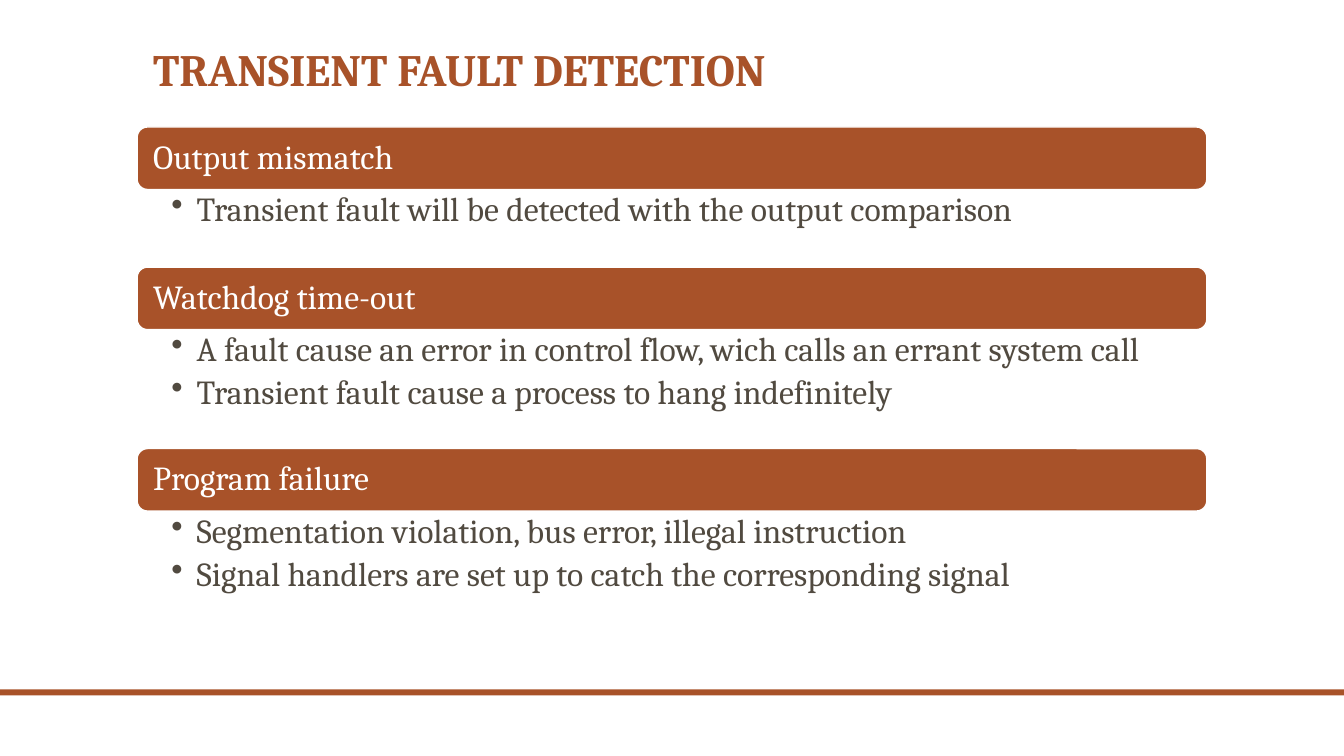
import dataclasses

import lxml.etree
import pptx
import pptx.dml.color
import pptx.enum.shapes
import pptx.enum.text
import pptx.oxml.ns
import pptx.util

Inches = pptx.util.Inches
Pt = pptx.util.Pt
RGBColor = pptx.dml.color.RGBColor
Shapes = pptx.enum.shapes.MSO_SHAPE
Anchor = pptx.enum.text.MSO_ANCHOR
Align = pptx.enum.text.PP_ALIGN


@dataclasses.dataclass(frozen=True)
class Theme:
    font: str = "Cambria"
    accent: RGBColor = RGBColor(0xA8, 0x52, 0x29)
    body: RGBColor = RGBColor(0x51, 0x4A, 0x40)
    light: RGBColor = RGBColor(0xFF, 0xFF, 0xFF)
    title_size: int = 32
    text_size: int = 24


class SlideBuilder:
    """Draws the elements of one slide in a shared theme."""

    def __init__(self, slide, theme):
        self.slide = slide
        self.theme = theme

    def set_text(self, shape, lines, size, color, anchor, insets, bold=False):
        frame = shape.text_frame
        frame.word_wrap = True
        frame.vertical_anchor = anchor
        frame.margin_left, frame.margin_top, frame.margin_right, frame.margin_bottom = map(Inches, insets)
        frame.text = "\n".join(lines)
        for paragraph in frame.paragraphs:
            paragraph.alignment = Align.LEFT
            paragraph.line_spacing = 0.9
            paragraph.font.name = self.theme.font
            paragraph.font.size = Pt(size)
            paragraph.font.bold = bold
            paragraph.font.color.rgb = color

    def add_title(self, text, left, top, width, height):
        box = self.slide.shapes.add_textbox(*map(Inches, (left, top, width, height)))
        self.set_text(box, [text], self.theme.title_size, self.theme.accent,
                      Anchor.BOTTOM, (0.1, 0.05, 0.1, 0.05), bold=True)

    def add_block(self, kind, left, top, width, height):
        shape = self.slide.shapes.add_shape(kind, *map(Inches, (left, top, width, height)))
        shape.shadow.inherit = False
        shape.fill.solid()
        shape.fill.fore_color.rgb = self.theme.accent
        shape.line.fill.background()
        return shape

    def add_heading(self, text, left, top, width, height):
        bar = self.add_block(Shapes.ROUNDED_RECTANGLE, left, top, width, height)
        bar.line.color.rgb = self.theme.light
        bar.line.width = Pt(1)
        self.set_text(bar, [text], self.theme.text_size, self.theme.light,
                      Anchor.MIDDLE, (0.13, 0.13, 0.13, 0.13))

    def add_bullets(self, lines, left, top, width, height):
        box = self.slide.shapes.add_textbox(*map(Inches, (left, top, width, height)))
        self.set_text(box, lines, self.theme.text_size, self.theme.body,
                      Anchor.TOP, (0.34, 0.03, 0.19, 0.03))
        for paragraph in box.text_frame.paragraphs:
            paragraph.space_after = Pt(5)
            properties = paragraph._p.get_or_add_pPr()
            properties.set("marL", str(Inches(0.25)))
            properties.set("indent", str(Inches(-0.25)))
            bullet = lxml.etree.Element(pptx.oxml.ns.qn("a:buChar"), char="•")
            properties.find(pptx.oxml.ns.qn("a:defRPr")).addprevious(bullet)


SECTIONS = [
    ("Output mismatch", ["Transient fault will be detected with the output comparison"]),
    ("Watchdog time-out", [
        "A fault cause an error in control flow, wich calls an errant system call",
        "Transient fault cause a process to hang indefinitely",
    ]),
    ("Program failure", [
        "Segmentation violation, bus error, illegal instruction",
        "Signal handlers are set up to catch the corresponding signal",
    ]),
]


def main():
    presentation = pptx.Presentation()
    presentation.slide_width = Inches(13.33)
    presentation.slide_height = Inches(7.5)
    slide = presentation.slides.add_slide(presentation.slide_layouts[6])
    builder = SlideBuilder(slide, Theme())

    builder.add_block(Shapes.RECTANGLE, 0, 6.84, 13.33, 0.06)
    builder.add_title("TRANSIENT FAULT DETECTION", 1.42, 0.42, 10.5, 0.58)

    left, top, width, heading_height = 1.36, 1.26, 10.61, 0.62
    for heading, lines in SECTIONS:
        builder.add_heading(heading, left, top, width, heading_height)
        top += heading_height
        bullets_height = 0.36 + 0.41 * len(lines)
        builder.add_bullets(lines, left, top, width, bullets_height)
        top += bullets_height

    presentation.save("out.pptx")


if __name__ == "__main__":
    main()
